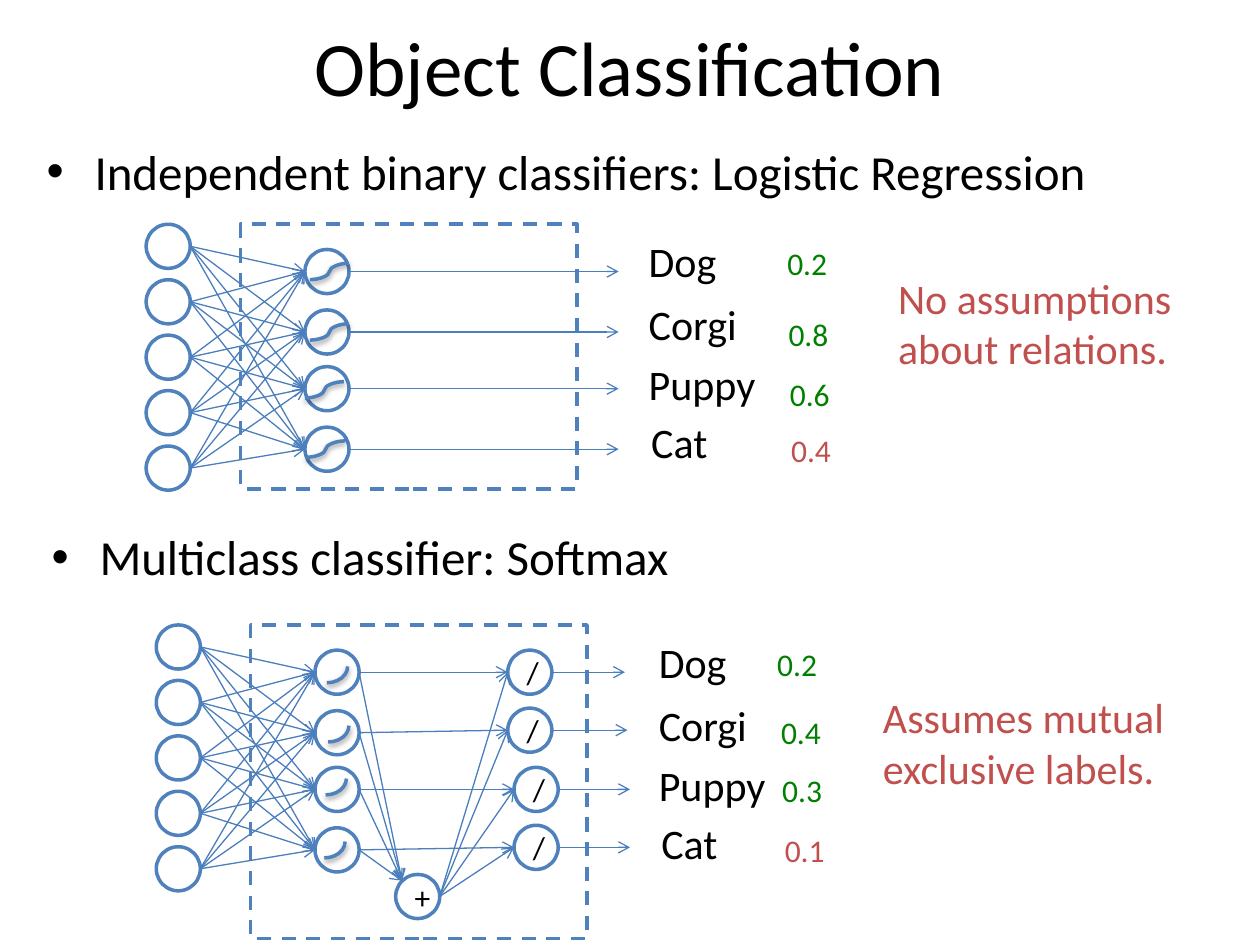
from collections import namedtuple
from dataclasses import dataclass

from lxml import etree
from pptx import Presentation
from pptx import util as u
from pptx.dml.color import RGBColor
from pptx.enum import dml, shapes, text
from pptx.oxml import ns

Inches = u.Inches
Box = namedtuple("Box", "left top width height")


@dataclass(frozen=True)
class Theme:
    font: str = "Calibri"
    ink: str = "000000"
    paper: str = "FFFFFF"
    edge: str = "4F81BD"
    link: str = "4B7EBC"
    good: str = "008000"
    warn: str = "C0504D"
    title: int = 44
    list: int = 28
    label: int = 24
    small: int = 18
    thick: float = 2
    thin: float = 0.75


THEME = Theme()
SIZE = 0.35  # node diameter
HALF = SIZE / 2
INPUTS = [(0, 0.44 * i) for i in range(5)]
UNITS = [(1.26, top) for top in (0.2, 0.68, 1.13, 1.61)]
NAMES = [("Dog", 3.89, 0.04), ("Corgi", 3.89, 0.54),
         ("Puppy", 3.89, 1.02), ("Cat", 3.91, 1.48)]


def rgb(code):
    return RGBColor.from_string(code)


def style(para, size, color=THEME.ink):
    para.font.name = THEME.font
    para.font.size = u.Pt(size)
    para.font.color.rgb = rgb(color)


def move(shape, box):
    shape.left, shape.top, shape.width, shape.height = map(Inches, box)


def stroke(shape, color, width):
    shape.line.color.rgb = rgb(color)
    shape.line.width = u.Pt(width)


def effect(shape, shade=False):
    """Replace the theme's shadow by a soft one, or by none."""
    props = shape.element.spPr
    group = etree.SubElement(props, ns.qn("a:effectLst"))
    if shade:
        outer = etree.SubElement(group, ns.qn("a:outerShdw"), blurRad="39370",
                                 dist="20320", dir="5400000", rotWithShape="0")
        tint = etree.SubElement(outer, ns.qn("a:srgbClr"), val=THEME.ink)
        etree.SubElement(tint, ns.qn("a:alpha"), val="38000")


def write(slide, box, words, size, color=THEME.ink):
    shape = slide.shapes.add_textbox(*map(Inches, box))
    frame = shape.text_frame
    frame.word_wrap = True
    frame.auto_size = text.MSO_AUTO_SIZE.SHAPE_TO_FIT_TEXT
    frame.text = words
    style(frame.paragraphs[0], size, color)


def node(slide, box, spot, sign=""):
    shape = slide.shapes.add_shape(
        shapes.MSO_SHAPE.OVAL, Inches(box.left + spot[0]),
        Inches(box.top + spot[1]), Inches(SIZE), Inches(SIZE))
    shape.shadow.inherit = False
    shape.fill.solid()
    shape.fill.fore_color.rgb = rgb(THEME.paper)
    stroke(shape, THEME.edge, THEME.thick)
    if sign:
        frame = shape.text_frame
        frame.text = sign
        frame.vertical_anchor = text.MSO_ANCHOR.MIDDLE
        frame.paragraphs[0].alignment = text.PP_ALIGN.CENTER
        style(frame.paragraphs[0], THEME.small)


def join(slide, box, start, end, kind=shapes.MSO_CONNECTOR.STRAIGHT):
    return slide.shapes.add_connector(
        kind, Inches(box.left + start[0]), Inches(box.top + start[1]),
        Inches(box.left + end[0]), Inches(box.top + end[1]))


def arrow(slide, box, start, end):
    line = join(slide, box, start, end)
    stroke(line, THEME.link, THEME.thin)
    effect(line)
    etree.SubElement(line.line._get_or_add_ln(), ns.qn("a:tailEnd"), type="arrow")


def west(spot):
    return spot[0], spot[1] + HALF


def east(spot):
    return spot[0] + SIZE, spot[1] + HALF


def net(slide, box):
    """Draw the input nodes, the units, their links and the dashed frame."""
    for spot in INPUTS + UNITS:
        node(slide, box, spot)
    for unit in UNITS:
        for source in INPUTS:
            arrow(slide, box, east(source), west(unit))
    frame = slide.shapes.add_shape(
        shapes.MSO_SHAPE.RECTANGLE, Inches(box.left + 0.75), Inches(box.top),
        Inches(box.width), Inches(box.height))
    frame.shadow.inherit = False
    frame.fill.background()
    stroke(frame, THEME.edge, THEME.thick)
    frame.line.dash_style = dml.MSO_LINE.DASH


def labels(slide, box, scores, note):
    """Write class names, their scores and the remark at the right."""
    for name, x, y in NAMES:
        write(slide, (box.left + x, box.top + y, 1.52, 0.5), name, THEME.label)
    for i, (score, x, y) in enumerate(scores):
        color = THEME.warn if i == len(scores) - 1 else THEME.good
        write(slide, (box.left + x, box.top + y, 0.65, 0.4), score,
              THEME.small, color)
    words, x, y = note
    write(slide, (box.left + x, box.top + y, 2.64, 0.91), words,
          THEME.label, THEME.warn)


def binary(slide, box):
    net(slide, box)
    for unit in UNITS:
        arrow(slide, box, east(unit), (3.75, unit[1] + HALF))
    for x, y in ((1.3, 0.44), (1.3, 0.92), (1.26, 1.38), (1.27, 1.85)):
        curve = join(slide, box, (x, y), (x + 0.31, y - 0.13),
                     shapes.MSO_CONNECTOR.CURVE)
        stroke(curve, THEME.edge, THEME.thick)
        effect(curve, shade=True)
    labels(slide, box,
           [("0.2", 4.99, 0.11), ("0.8", 5, 0.67),
            ("0.6", 5.01, 1.15), ("0.4", 5.02, 1.59)],
           ("No assumptions about relations.", 5.87, 0.33))


def softmax(slide, box):
    net(slide, box)
    ratios = [(2.79, 0.2), (2.79, 0.66), (2.84, 1.13), (2.84, 1.59)]
    total = (1.9, 1.98)
    for spot in ratios:
        node(slide, box, spot, "/")
    node(slide, box, total, "+")
    for unit, ratio, end in zip(UNITS, ratios, (3.72, 3.74, 3.76, 3.76)):
        arrow(slide, box, east(unit), west(ratio))
        arrow(slide, box, east(unit), (total[0] + 0.05, total[1] + 0.05))
        arrow(slide, box, east(total), west(ratio))
        arrow(slide, box, east(ratio), (end, ratio[1] + HALF))
    for x, y in ((1.19, 0.2), (1.2, 0.67), (1.18, 1.09), (1.17, 1.59)):
        arc = slide.shapes.add_shape(
            shapes.MSO_SHAPE.ARC, Inches(box.left + x), Inches(box.top + y),
            Inches(0.33), Inches(0.26))
        arc.element.spPr.xfrm.set("flipV", "1")
        arc.fill.background()
        stroke(arc, THEME.edge, THEME.thick)
        effect(arc, shade=True)
    labels(slide, box,
           [("0.2", 4.83, 0.11), ("0.4", 4.86, 0.65),
            ("0.3", 4.87, 1.11), ("0.1", 4.89, 1.59)],
           ("Assumes mutual exclusive labels.", 5.67, 0.48))


def head(slide, box, words):
    shape = slide.shapes.title
    move(shape, box)
    shape.text_frame.text = words
    shape.text_frame.vertical_anchor = text.MSO_ANCHOR.MIDDLE
    para = shape.text_frame.paragraphs[0]
    para.alignment = text.PP_ALIGN.CENTER
    style(para, THEME.title)


def point(shape, box, words):
    """Fill a body placeholder with one bullet."""
    move(shape, box)
    frame = shape.text_frame
    frame.text = words
    frame.auto_size = text.MSO_AUTO_SIZE.NONE
    para = frame.paragraphs[0]
    props = para._p.get_or_add_pPr()
    props.set("marL", str(Inches(0.38)))
    props.set("indent", str(-Inches(0.38)))
    para.space_before = u.Pt(0)
    etree.SubElement(props, ns.qn("a:buChar"), char="•")
    style(para, THEME.list)


def main():
    deck = Presentation()
    deck.slide_width, deck.slide_height = Inches(10), Inches(7.5)
    slide = deck.slides.add_slide(deck.slide_layouts.get_by_name("Two Content"))
    first, second = list(slide.placeholders)[1:3]
    head(slide, Box(0.5, -0.1, 9, 1.25), "Object Classification")
    point(first, Box(0.27, 1.07, 9, 0.95),
          "Independent binary classifiers: Logistic Regression")
    point(second, Box(0.31, 4.13, 9, 0.95), "Multiclass classifier: Softmax")
    binary(slide, Box(1.16, 1.78, 2.67, 2.1))
    softmax(slide, Box(1.24, 4.96, 2.67, 2.49))
    deck.save("out.pptx")


if __name__ == "__main__":
    main()
